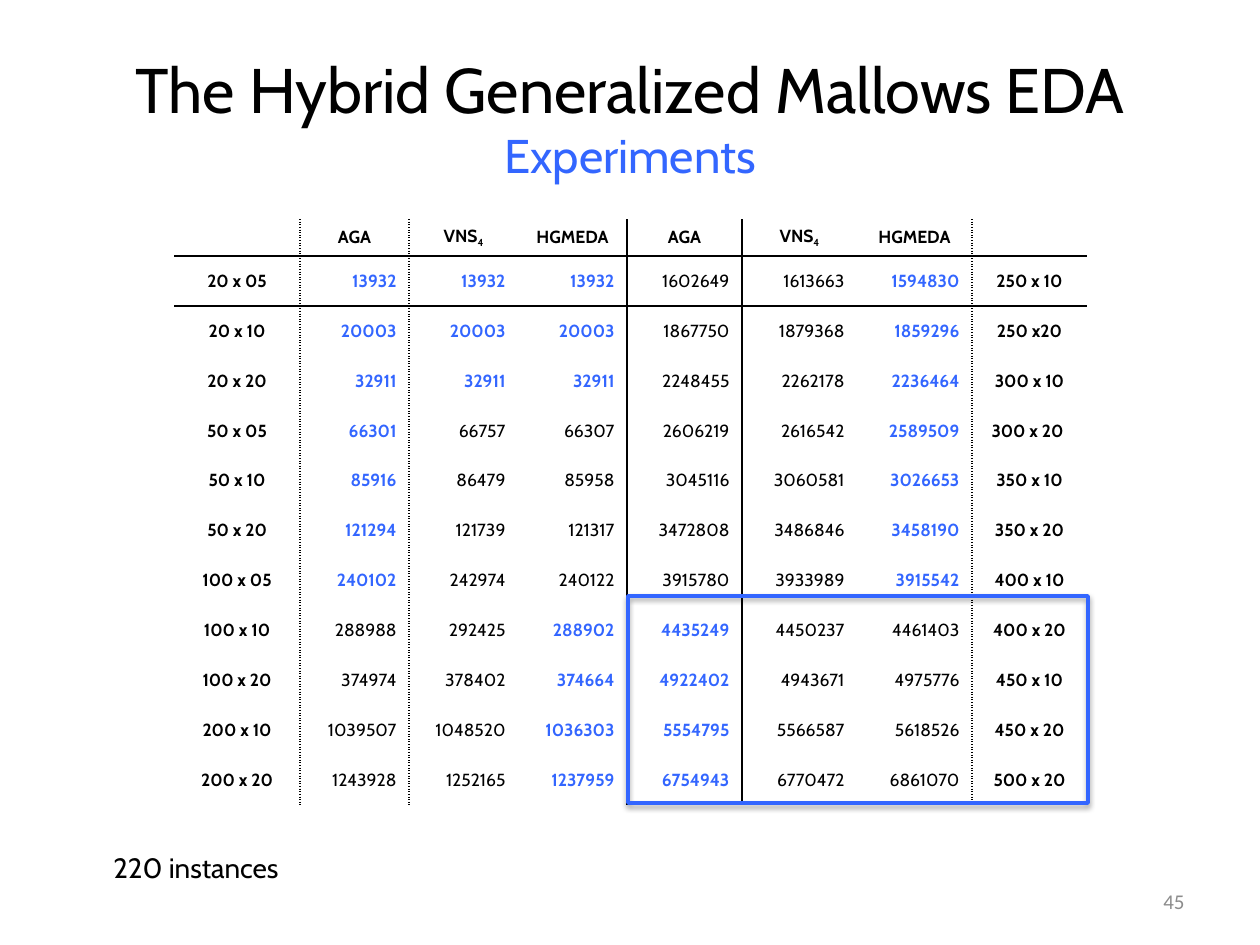
from lxml.etree import SubElement
from pptx import Presentation
from pptx.dml.color import RGBColor
from pptx.enum.shapes import MSO_SHAPE
from pptx.enum.text import MSO_ANCHOR, MSO_AUTO_SIZE, PP_ALIGN
from pptx.oxml.ns import qn
from pptx.util import Emu, Pt

BLACK, BLUE, GRAY = "000000", "3366FF", "8C8C8C"
FONT = "Cabin"
NO_GRID_STYLE = "{2D5ABB26-0587-4C30-8999-92F81FD0307C}"

TITLE = "The Hybrid Generalized Mallows EDA"
SUBTITLE = "Experiments"
METHODS = ["AGA", "VNS4", "HGMEDA"]
# left instance, left results, right results, right instance
RESULTS = [
    ("20 x 05", (13932, 13932, 13932), (1602649, 1613663, 1594830), "250 x 10"),
    ("20 x 10", (20003, 20003, 20003), (1867750, 1879368, 1859296), "250 x20"),
    ("20 x 20", (32911, 32911, 32911), (2248455, 2262178, 2236464), "300 x 10"),
    ("50 x 05", (66301, 66757, 66307), (2606219, 2616542, 2589509), "300 x 20 "),
    ("50 x 10", (85916, 86479, 85958), (3045116, 3060581, 3026653), "350 x 10"),
    ("50 x 20", (121294, 121739, 121317), (3472808, 3486846, 3458190), "350 x 20"),
    ("100 x 05", (240102, 242974, 240122), (3915780, 3933989, 3915542), "400 x 10"),
    ("100 x 10", (288988, 292425, 288902), (4435249, 4450237, 4461403), "400 x 20"),
    ("100 x 20", (374974, 378402, 374664), (4922402, 4943671, 4975776), "450 x 10"),
    ("200 x 10", (1039507, 1048520, 1036303), (5554795, 5566587, 5618526), "450 x 20"),
    ("200 x 20", (1243928, 1252165, 1237959), (6754943, 6770472, 6861070), "500 x 20"),
]
TABLE_LEFT, TABLE_TOP = 174, 219
COLUMN_WIDTHS = [126] + [109] * 3 + [115] * 4
ROW_HEIGHTS = [37] + [50] * len(RESULTS)
COLUMN_RULES = {0: "sysDot", 3: "solid", 6: "sysDot"}  # rule right of the column


def px(value):
    return Emu(round(value * 914400 / 126))


def color(value):
    return RGBColor.from_string(value)


def add_run(paragraph, text, size, fill=BLACK, bold=False, font=FONT):
    run = paragraph.add_run()
    run.text = text
    run.font.size = Pt(size)
    run.font.name = font
    run.font.bold = bold
    run.font.color.rgb = color(fill)
    return run


def add_text(slide, box, text, size, fill=BLACK, font=FONT, align=PP_ALIGN.LEFT,
             anchor=MSO_ANCHOR.TOP, wrap=True):
    frame = slide.shapes.add_textbox(*map(px, box)).text_frame
    frame.word_wrap = wrap
    frame.vertical_anchor = anchor
    frame.paragraphs[0].alignment = align
    add_run(frame.paragraphs[0], text, size, fill, font=font)


def add_border(cell, side, dash):
    line = SubElement(cell._tc.get_or_add_tcPr(), qn(f"a:{side}"), w="12700")
    SubElement(SubElement(line, qn("a:solidFill")), qn("a:srgbClr"), val=BLACK)
    SubElement(line, qn("a:prstDash"), val=dash)


def fill_cell(cell, text, align=PP_ALIGN.CENTER, fill=BLACK, bold=True):
    cell.vertical_anchor = MSO_ANCHOR.MIDDLE
    paragraph = cell.text_frame.paragraphs[0]
    paragraph.alignment = align
    if not text:
        SubElement(paragraph._p, qn("a:endParaRPr"), sz="1000")
    elif text == "VNS4":
        add_run(paragraph, "VNS", 10, fill, bold)
        subscript = add_run(paragraph, "4", 10, fill, bold)
        subscript.font._element.set("baseline", "-25000")
    else:
        add_run(paragraph, text, 10, fill, bold)


def draw_rules(table):
    """Borders come before the fill, as the schema orders them."""
    last_column = len(COLUMN_WIDTHS) - 1
    for row in range(len(ROW_HEIGHTS)):
        for column in range(last_column + 1):
            cell = table.cell(row, column)
            if column - 1 in COLUMN_RULES:
                add_border(cell, "lnL", COLUMN_RULES[column - 1])
            if column in COLUMN_RULES:
                add_border(cell, "lnR", COLUMN_RULES[column])
            if row == 1:
                add_border(cell, "lnT", "solid")
            if row == 0:
                add_border(cell, "lnB", "solid")
            cell.fill.background()


def add_results(slide):
    frame = slide.shapes.add_table(
        len(ROW_HEIGHTS), len(COLUMN_WIDTHS), px(TABLE_LEFT), px(TABLE_TOP),
        px(sum(COLUMN_WIDTHS)), px(sum(ROW_HEIGHTS)))
    table = frame.table
    table.first_row = table.horz_banding = False
    table._tbl.tblPr.find(qn("a:tableStyleId")).text = NO_GRID_STYLE
    for column, width in zip(table.columns, COLUMN_WIDTHS):
        column.width = px(width)
    for row, height in zip(table.rows, ROW_HEIGHTS):
        row.height = px(height)

    for column, text in enumerate(["", *METHODS, *METHODS, ""]):
        fill_cell(table.cell(0, column), text)
    for row, (left_name, left, right, right_name) in enumerate(RESULTS, 1):
        fill_cell(table.cell(row, 0), left_name)
        fill_cell(table.cell(row, 7), right_name)
        for first_column, values in ((1, left), (4, right)):
            for column, value in enumerate(values, first_column):
                best = value == min(values)
                fill_cell(table.cell(row, column), str(value), PP_ALIGN.RIGHT,
                          BLUE if best else BLACK, best)
    draw_rules(table)


def add_highlight(slide):
    frame = slide.shapes.add_shape(MSO_SHAPE.RECTANGLE, *map(px, (628, 596, 460, 207)))
    frame.fill.background()
    frame.line.color.rgb = color(BLUE)
    frame.line.width = Pt(2.25)
    frame.shadow.inherit = False
    effects = frame._element.spPr.find(qn("a:effectLst"))
    shadow = SubElement(effects, qn("a:outerShdw"), blurRad="40000", dist="23000",
                        dir="5400000", rotWithShape="0")
    shadow_color = SubElement(shadow, qn("a:srgbClr"), val=BLACK)
    SubElement(shadow_color, qn("a:alpha"), val="35000")


def main():
    presentation = Presentation()
    presentation.slide_width, presentation.slide_height = px(1260), px(945)
    slide = presentation.slides.add_slide(presentation.slide_layouts[5])

    title = slide.shapes.title
    title.left, title.top, title.width, title.height = map(px, (63, 38, 1134, 157))
    title.text_frame.auto_size = MSO_AUTO_SIZE.NONE
    title.text_frame.vertical_anchor = MSO_ANCHOR.MIDDLE
    paragraph = title.text_frame.paragraphs[0]
    paragraph.alignment = PP_ALIGN.CENTER
    add_run(paragraph, TITLE, 36)
    paragraph.add_line_break()
    add_run(paragraph, SUBTITLE, 27, BLUE)

    add_results(slide)
    add_text(slide, (101, 844, 203, 47), "220 instances", 16, wrap=False)
    add_highlight(slide)
    add_text(slide, (903, 876, 294, 50), "45", 12, GRAY, "Calibri",
             PP_ALIGN.RIGHT, MSO_ANCHOR.MIDDLE)
    presentation.save("out.pptx")


if __name__ == "__main__":
    main()
